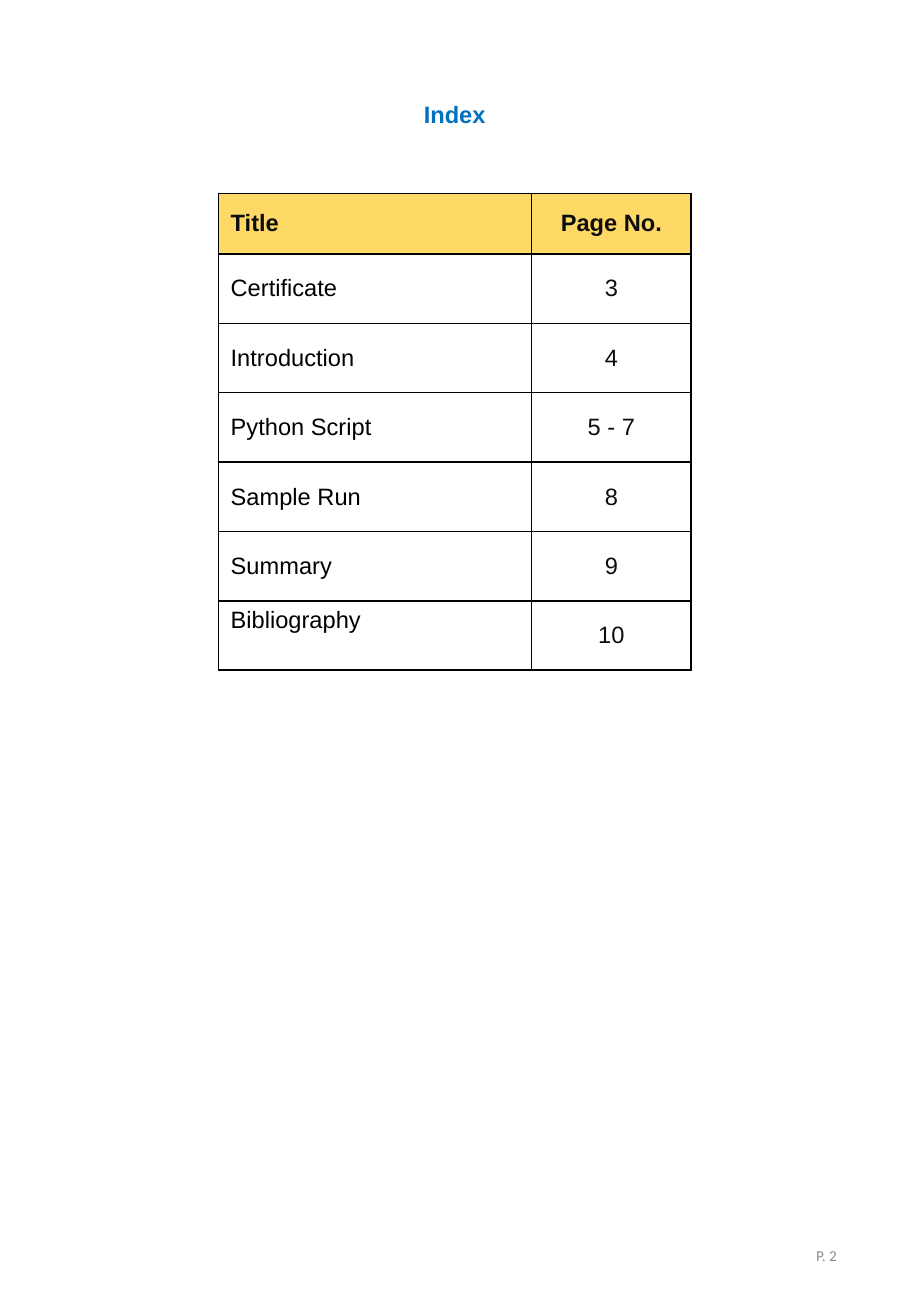
from dataclasses import dataclass

from lxml import etree
from pptx import Presentation
from pptx import util as u
from pptx.dml import color
from pptx.enum import text
from pptx.oxml import ns


@dataclass(frozen=True)
class Theme:
    heading: str = "0070C0"
    header_fill: str = "FFD966"
    strong: str = "0D0D0D"
    body: str = "000000"
    border: str = "000000"
    footer: str = "8C8C8C"
    body_font: str = "Arial"
    footer_font: str = "Calibri"
    body_size: int = 14
    footer_size: int = 9
    border_width: int = 1


THEME = Theme()
LEFT, CENTER, RIGHT = text.PP_ALIGN.LEFT, text.PP_ALIGN.CENTER, text.PP_ALIGN.RIGHT
TOP, MIDDLE = text.MSO_ANCHOR.TOP, text.MSO_ANCHOR.MIDDLE

INDEX_ROWS = [
    ("Title", "Page No."),
    ("Certificate", "3"),
    ("Introduction", "4"),
    ("Python Script", "5 - 7"),
    ("Sample Run", "8"),
    ("Summary", "9"),
    ("Bibliography", "10"),
]
COLUMN_WIDTHS = (6.55, 3.33)
HEADER_HEIGHT, ENTRY_HEIGHT = 1.27, 1.45


def write(frame, words, ink, align=LEFT, bold=False,
          font=THEME.body_font, size=THEME.body_size):
    frame.text = words
    paragraph = frame.paragraphs[0]
    paragraph.alignment = align
    style = paragraph.runs[0].font
    style.name, style.size, style.bold = font, u.Pt(size), bold
    style.color.rgb = color.RGBColor.from_string(ink)


def add_label(slide, left, top, width, height, words, ink, wrap=True,
              anchor=TOP, **style):
    frame = slide.shapes.add_textbox(
        u.Cm(left), u.Cm(top), u.Cm(width), u.Cm(height)).text_frame
    frame.word_wrap = wrap
    frame.vertical_anchor = anchor
    write(frame, words, ink, **style)


def add_borders(cell):
    properties = cell._tc.get_or_add_tcPr()
    for position, side in enumerate(("lnL", "lnR", "lnT", "lnB")):
        line = etree.Element(ns.qn(f"a:{side}"), w=str(u.Pt(THEME.border_width)))
        fill = etree.SubElement(line, ns.qn("a:solidFill"))
        etree.SubElement(fill, ns.qn("a:srgbClr"), val=THEME.border)
        properties.insert(position, line)


def format_cell(cell, words, is_header, is_page, anchor):
    if is_header:
        cell.fill.solid()
        cell.fill.fore_color.rgb = color.RGBColor.from_string(THEME.header_fill)
    else:
        cell.fill.background()
    add_borders(cell)
    cell.vertical_anchor = anchor
    write(cell.text_frame, words,
          THEME.strong if is_header or is_page else THEME.body,
          align=CENTER if is_page else LEFT, bold=is_header)


def add_index(slide, left, top):
    heights = [HEADER_HEIGHT] + [ENTRY_HEIGHT] * (len(INDEX_ROWS) - 1)
    index = slide.shapes.add_table(
        len(INDEX_ROWS), len(COLUMN_WIDTHS), u.Cm(left), u.Cm(top),
        u.Cm(sum(COLUMN_WIDTHS)), u.Cm(sum(heights))).table
    index.horz_banding = False
    for column, width in zip(index.columns, COLUMN_WIDTHS):
        column.width = u.Cm(width)
    for r, (entry, height) in enumerate(zip(INDEX_ROWS, heights)):
        index.rows[r].height = u.Cm(height)
        for c, words in enumerate(entry):
            anchor = TOP if words == "Bibliography" else MIDDLE
            format_cell(index.cell(r, c), words, r == 0, c == 1, anchor)


def main():
    deck = Presentation()
    deck.slide_width, deck.slide_height = u.Cm(19.05), u.Cm(27.51)
    slide = deck.slides.add_slide(deck.slide_layouts[6])
    add_index(slide, 4.57, 4.04)
    add_label(slide, 8.61, 1.96, 1.8, 0.86, "Index", THEME.heading,
              wrap=False, align=CENTER, bold=True)
    add_label(slide, 13.46, 25.5, 4.29, 1.47, "P. 2", THEME.footer,
              anchor=MIDDLE, align=RIGHT,
              font=THEME.footer_font, size=THEME.footer_size)
    deck.save("out.pptx")


if __name__ == "__main__":
    main()
